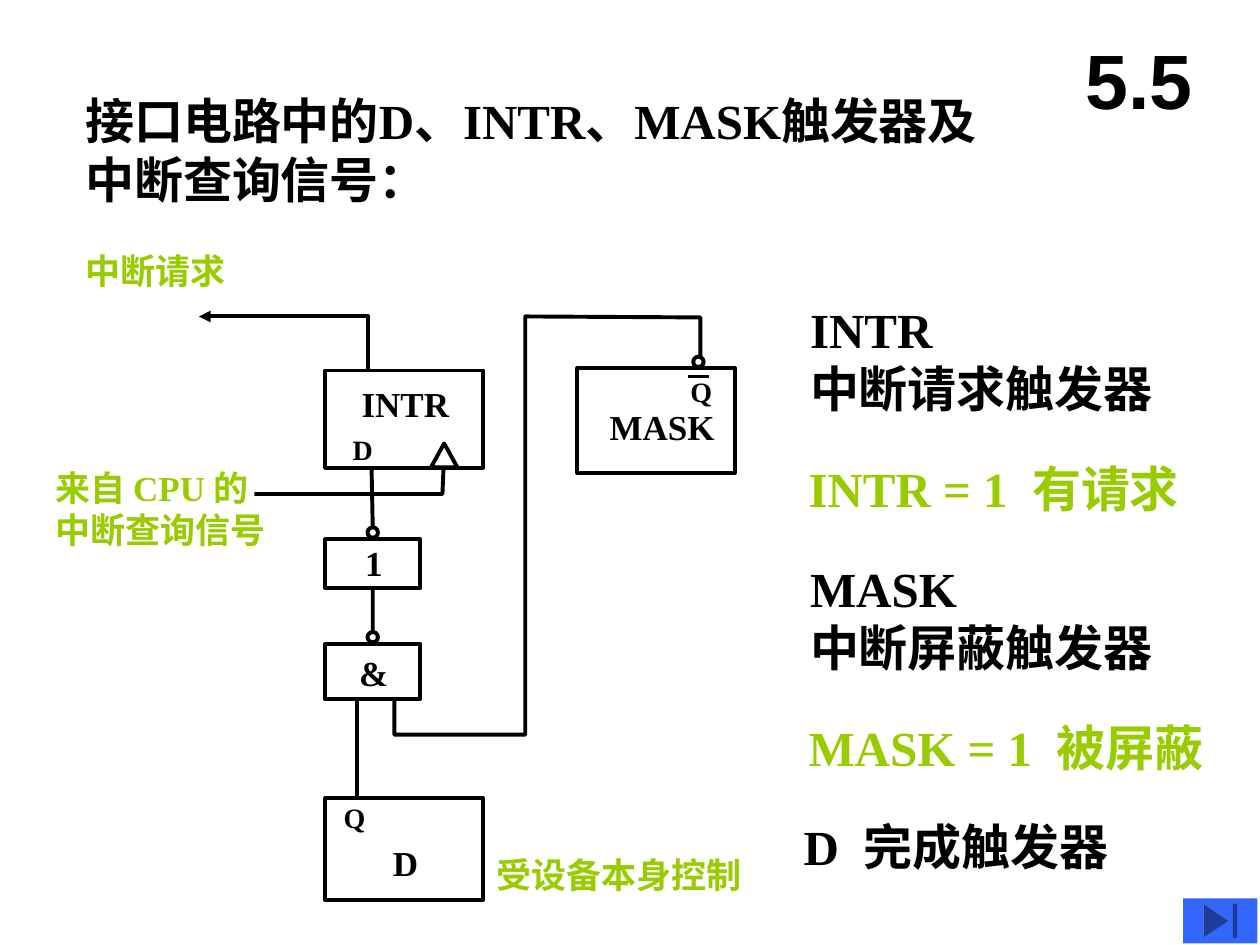
from lxml.etree import SubElement
from pptx import Presentation
from pptx.dml.color import RGBColor
from pptx.enum.shapes import MSO_CONNECTOR, MSO_SHAPE
from pptx.enum.text import MSO_ANCHOR, PP_ALIGN
from pptx.oxml.ns import qn
from pptx.util import Cm, Pt

COLORS = {"ink": "000000", "accent": "99CC00", "button": "3366FF"}
SERIF = "Times New Roman"
LINE_WIDTH = Pt(2.25)
GATE_LEFT = 6.56
FLIP_FLOP_WIDTH = 3.18
GATE_WIDTH = 1.91
BUBBLE_SIZE = 0.21
GATE_CENTER = GATE_LEFT + GATE_WIDTH / 2
NOTE_STEP = 5.21


def color(name):
    return RGBColor.from_string(COLORS[name])


def place(element, left, top, width, height):
    element.left, element.top = Cm(left), Cm(top)
    element.width, element.height = Cm(width), Cm(height)


def write(frame, text, size=28, ink="ink", font=SERIF, wrap=False,
          align=PP_ALIGN.LEFT, anchor=MSO_ANCHOR.TOP):
    frame.text = text
    frame.word_wrap = wrap
    frame.vertical_anchor = anchor
    for paragraph in frame.paragraphs:
        paragraph.alignment = align
        for run in paragraph.runs:
            run.font.size = Pt(size)
            run.font.name = font
            run.font.bold = True
            run.font.color.rgb = color(ink)


def add_label(slide, text, left, top, width, height, **text_format):
    label = slide.shapes.add_textbox(Cm(left), Cm(top), Cm(width), Cm(height))
    write(label.text_frame, text, **text_format)


def outline(element):
    element.line.color.rgb = color("ink")
    element.line.width = LINE_WIDTH


def add_outline(slide, kind, left, top, width, height):
    symbol = slide.shapes.add_shape(kind, Cm(left), Cm(top), Cm(width), Cm(height))
    symbol.shadow.inherit = False
    symbol.fill.background()
    outline(symbol)
    return symbol


def add_bubble(slide, center, top):
    return add_outline(slide, MSO_SHAPE.OVAL, center - BUBBLE_SIZE / 2, top,
                       BUBBLE_SIZE, BUBBLE_SIZE)


def add_wire(slide, start, end):
    wire = slide.shapes.add_connector(
        MSO_CONNECTOR.STRAIGHT, *[Cm(value) for value in (*start, *end)])
    outline(wire)
    SubElement(wire._element.spPr, qn("a:effectLst"))
    return wire


def add_bent_wire(slide, points, arrow=False):
    start, *corners = [(Cm(x), Cm(y)) for x, y in points]
    builder = slide.shapes.build_freeform(*start)
    builder.add_line_segments(corners, close=False)
    wire = builder.convert_to_shape()
    wire.shadow.inherit = False
    wire.fill.background()
    outline(wire)
    if arrow:
        SubElement(wire.line._get_or_add_ln(), qn("a:tailEnd"), type="triangle")


def add_flip_flops(slide):
    for left, top, height in ((GATE_LEFT, 16.09, 2.06),
                              (GATE_LEFT, 7.47, 1.96),
                              (11.64, 7.42, 2.11)):
        add_outline(slide, MSO_SHAPE.RECTANGLE, left, top, FLIP_FLOP_WIDTH, height)
    for name, left, top, width in (("D", 7.67, 16.84, 1.1),
                                   ("INTR", 7.04, 7.59, 2.6),
                                   ("MASK", 12.04, 8.05, 2.75)):
        add_label(slide, name, left, top, width, 1.12, size=20)
    for pin, left, top in (("Q", 6.68, 16.02), ("D", 6.86, 8.59), ("Q", 13.67, 7.42)):
        add_label(slide, pin, left, top, 0.94, 0.94, size=16)
    add_outline(slide, MSO_SHAPE.ISOSCELES_TRIANGLE, 8.69, 8.94, 0.53, 0.48)
    add_bubble(slide, 14.08, 7.19)
    add_wire(slide, (13.87, 7.59), (14.3, 7.59))


def add_gate(slide, sign, top, height, sign_box):
    gate = add_outline(slide, MSO_SHAPE.RECTANGLE, GATE_LEFT, top, GATE_WIDTH, height)
    bubble = add_bubble(slide, GATE_CENTER, top - 0.24)
    add_label(slide, sign, *sign_box, size=20)
    return gate, bubble


def add_circuit(slide):
    add_flip_flops(slide)
    inverter, inverter_bubble = add_gate(slide, "1", 10.87, 0.99, (7.11, 10.8, 0.86, 1.12))
    and_gate, and_bubble = add_gate(slide, "&", 12.98, 1.12, (6.99, 13, 1.09, 1.12))

    add_wire(slide, (7.19, 14.12), (7.19, 16.09))
    data_wire = add_wire(slide, (7.49, 9.42), (GATE_CENTER, 10.63))
    data_wire.end_connect(inverter_bubble, 0)
    gate_wire = add_wire(slide, (GATE_CENTER, 11.86), (GATE_CENTER, 12.74))
    gate_wire.begin_connect(inverter, 2)
    gate_wire.end_connect(and_bubble, 0)

    add_bent_wire(slide, [(5.13, 9.96), (8.92, 9.96), (8.94, 9.47)])
    add_bent_wire(slide, [(7.95, 14.12), (7.95, 14.81), (10.59, 14.81),
                          (10.59, 6.38), (14.12, 6.4), (14.12, 7.21)])
    add_bent_wire(slide, [(7.42, 7.44), (7.42, 6.38), (4.01, 6.38)], arrow=True)


def add_signal_names(slide):
    add_label(slide, "中断请求", 1.47, 4.9, 3.38, 1.12,
              size=20, ink="accent", wrap=True)
    add_label(slide, "来自 CPU 的\n中断查询信号", 0.86, 9.27, 4.75, 1.96,
              size=20, ink="accent")
    add_label(slide, "受设备本身控制", 9.75, 17.09, 5.82, 1.12,
              size=20, ink="accent", wrap=True)


def add_notes_column(slide):
    notes = (("INTR\n中断请求触发器", "INTR = 1  有请求"),
             ("MASK\n中断屏蔽触发器", "MASK = 1  被屏蔽"))
    for index, (meaning, state) in enumerate(notes):
        offset = index * NOTE_STEP
        add_label(slide, meaning, 16.08, 5.92 + offset, 7.42, 2.64)
        add_label(slide, state, 16.05, 9.12 + offset, 9.35, 1.45,
                  ink="accent", wrap=True)
    add_label(slide, "D  完成触发器", 15.95, 16.33, 6.88, 1.45)


def add_end_button(slide):
    button = slide.shapes.add_shape(MSO_SHAPE.ACTION_BUTTON_END,
                                    Cm(23.85), Cm(18.11), Cm(1.5), Cm(0.91))
    button.shadow.inherit = False
    button.fill.solid()
    button.fill.fore_color.rgb = color("button")
    button.line.fill.background()


def main():
    deck = Presentation()
    deck.slide_width, deck.slide_height = Cm(25.4), Cm(19.05)
    slide = deck.slides.add_slide(deck.slide_layouts[5])

    section = slide.shapes.title
    place(section, 21.37, 0.41, 3.18, 2.34)
    write(section.text_frame, "5.5", size=44, font="Arial", wrap=True,
          align=PP_ALIGN.CENTER, anchor=MSO_ANCHOR.MIDDLE)
    add_label(slide, "接口电路中的D、INTR、MASK触发器及中断查询信号：",
              1.47, 1.7, 18.9, 2.64, wrap=True)

    add_circuit(slide)
    add_signal_names(slide)
    add_notes_column(slide)
    add_end_button(slide)
    deck.save("out.pptx")


if __name__ == "__main__":
    main()
